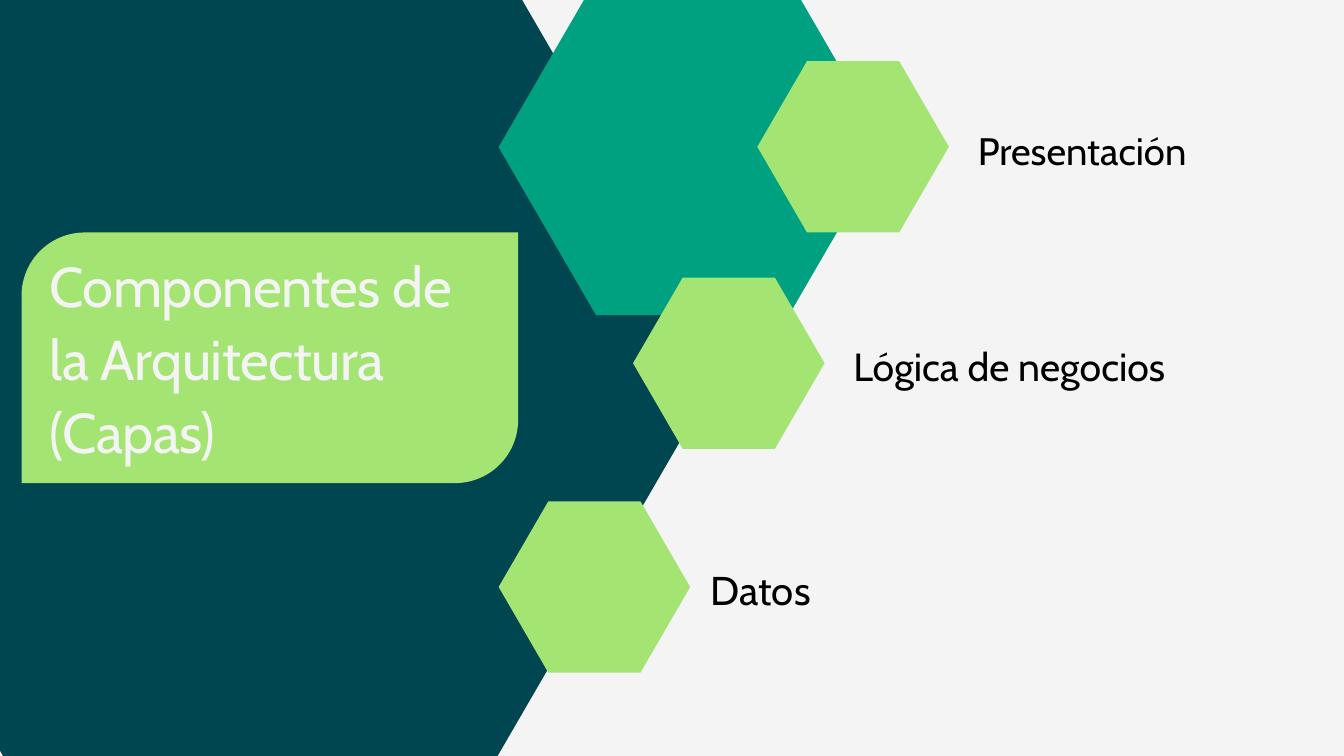
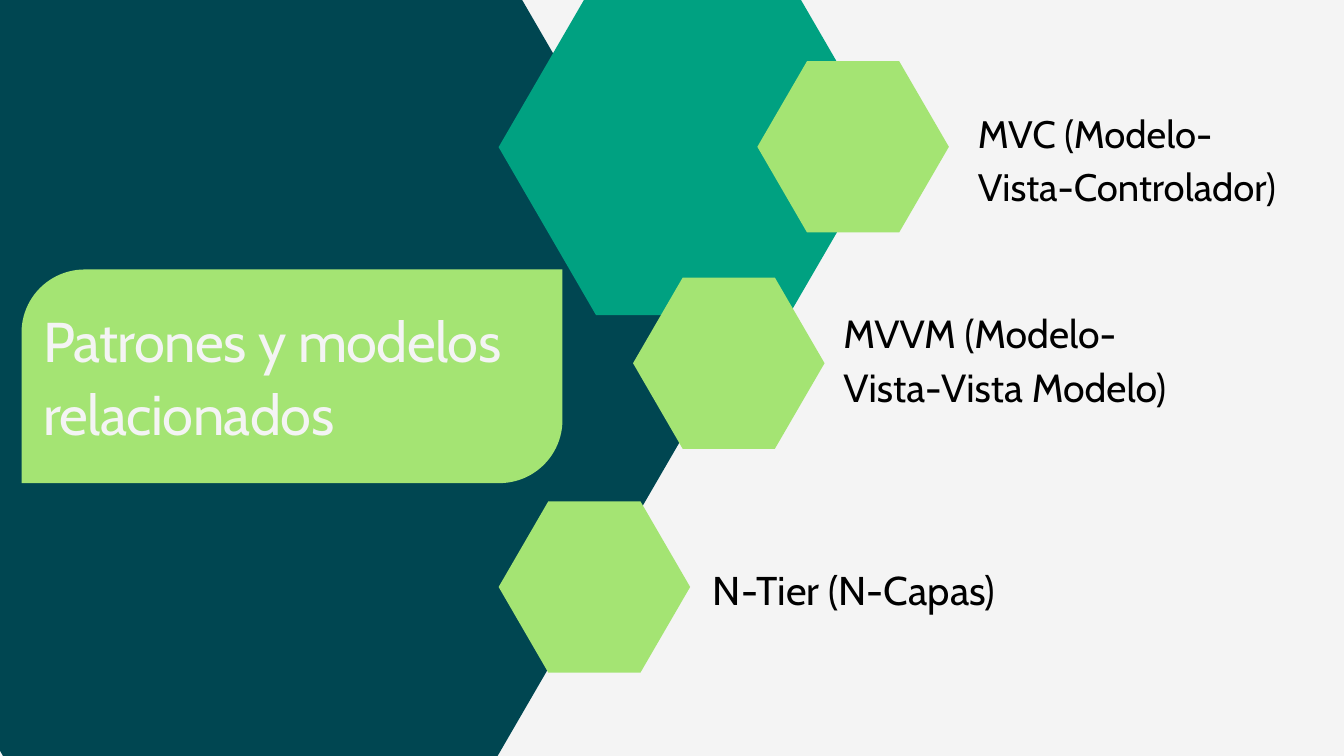
from pptx import Presentation
from pptx.dml.color import RGBColor
from pptx.enum.shapes import MSO_SHAPE
from pptx.enum.text import MSO_ANCHOR, PP_ALIGN
from pptx.util import Inches, Pt

COLORS = {
    "paper": "F4F4F4",
    "petrol": "004651",
    "teal": "00A181",
    "lime": "A4E473",
    "ink": "000000",
}
FONT = "Cabin"
HEXAGON_INSET = 0.29
CARD_RADIUS = 0.94
CARD_LEFT, CARD_BOTTOM = 0.32, 7.19

# left, top, width, height, colour
HEXAGONS = [
    (-3.4, -0.86, 14.25, 12.34, "petrol"),
    (7.42, -0.31, 5.77, 5, "teal"),
    (11.27, 0.91, 2.85, 2.55, "lime"),
    (9.42, 4.13, 2.85, 2.55, "lime"),
    (7.42, 7.46, 2.85, 2.55, "lime"),
]

# card: width, height; title box: left, top, width, height
# labels: text, size, left, top, width, height
SLIDES = [
    {
        "title": "Componentes de la Arquitectura (Capas)",
        "card": (7.39, 3.73),
        "title_box": (0.74, 3.66, 6.69, 3.24),
        "labels": [
            ("Presentación", 41, 14.55, 1.78, 4.91, 0.77),
            ("Lógica de negocios", 42, 12.7, 4.98, 5.48, 0.78),
            ("Datos", 43, 10.58, 8.29, 4.91, 0.81),
        ],
    },
    {
        "title": "Patrones y modelos relacionados",
        "card": (8.05, 3.18),
        "title_box": (0.64, 4.48, 7.42, 2.16),
        "labels": [
            ("MVC (Modelo-Vista-Controlador)", 41, 14.55, 1.52, 4.91, 1.56),
            ("MVVM (Modelo-Vista-Vista Modelo)", 42, 12.55, 4.48, 5.48, 1.59),
            ("N-Tier (N-Capas)", 43, 10.61, 8.29, 4.91, 0.81),
        ],
    },
]


def add_plain_shape(slide, preset, box, color, adjustment):
    shape = slide.shapes.add_shape(preset, *map(Inches, box))
    shape.adjustments[0] = adjustment
    shape.shadow.inherit = False
    shape.fill.solid()
    shape.fill.fore_color.rgb = RGBColor.from_string(COLORS[color])
    shape.line.fill.background()


def write_text(shape, text, size, color, leading):
    """Fill a box with one left-aligned run; leading is a multiple of size."""
    frame = shape.text_frame
    frame.word_wrap = True
    frame.vertical_anchor = MSO_ANCHOR.TOP
    frame.margin_left = frame.margin_top = 0
    frame.margin_right = frame.margin_bottom = 0
    paragraph = frame.paragraphs[0]
    paragraph.alignment = PP_ALIGN.LEFT
    paragraph.line_spacing = Pt(size * leading)
    run = paragraph.add_run()
    run.text = text
    run.font.name = FONT
    run.font.size = Pt(size)
    run.font.color.rgb = RGBColor.from_string(COLORS[color])
    return run


prs = Presentation()
prs.slide_width, prs.slide_height = Inches(20), Inches(11.25)
background = prs.slide_master.background.fill
background.solid()
background.fore_color.rgb = RGBColor.from_string(COLORS["paper"])
title_only = prs.slide_layouts[5]

for content in SLIDES:
    slide = prs.slides.add_slide(title_only)

    for *box, color in HEXAGONS:
        add_plain_shape(slide, MSO_SHAPE.HEXAGON, box, color, HEXAGON_INSET)

    for text, size, *box in content["labels"]:
        label = slide.shapes.add_textbox(*map(Inches, box))
        write_text(label, text, size, "ink", 1.4)

    card_width, card_height = content["card"]
    card_box = (CARD_LEFT, CARD_BOTTOM - card_height, card_width, card_height)
    add_plain_shape(slide, MSO_SHAPE.ROUND_2_DIAG_RECTANGLE, card_box, "lime",
                    CARD_RADIUS / card_height)

    title = slide.shapes.title
    title.left, title.top, title.width, title.height = map(Inches, content["title_box"])
    title_run = write_text(title, content["title"], 60, "paper", 1.3)
    title_run._r.get_or_add_rPr().set("spc", "-60")
    # The title has to lie above its card
    slide.shapes._spTree.append(title._element)

prs.save("out.pptx")
